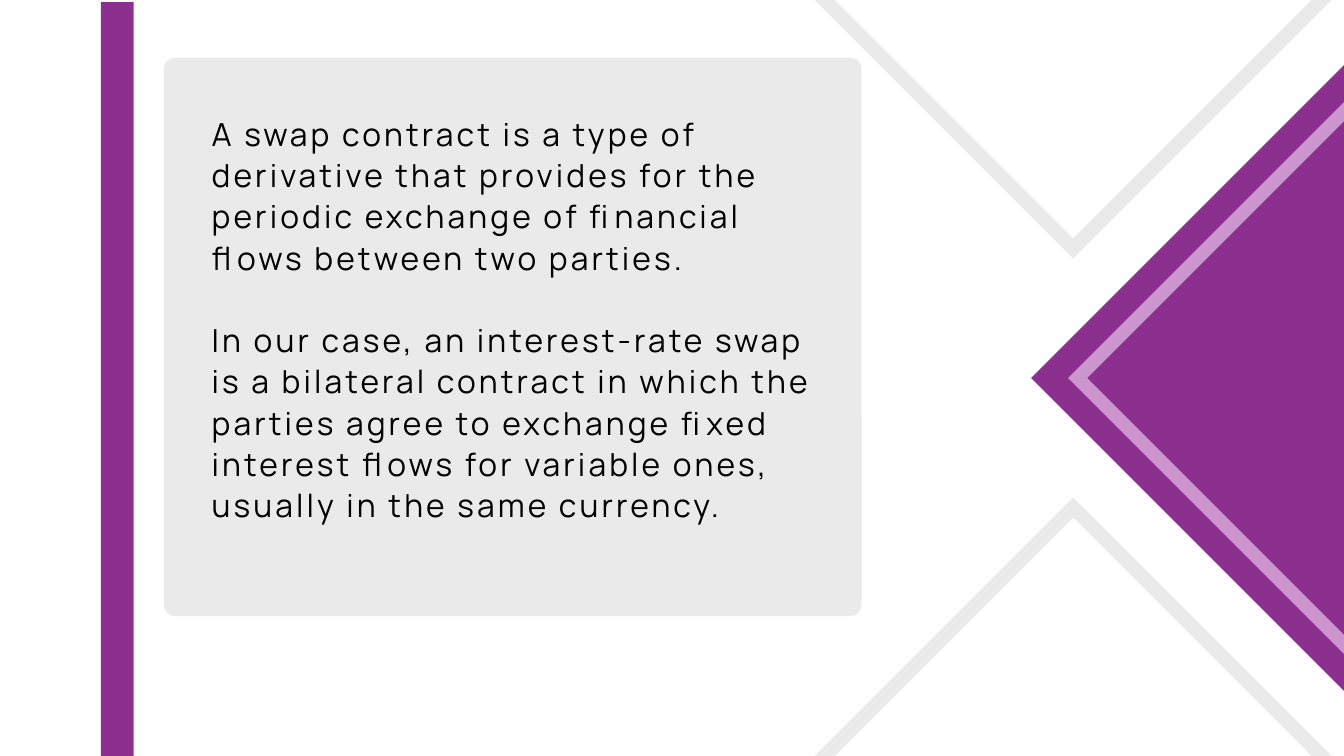
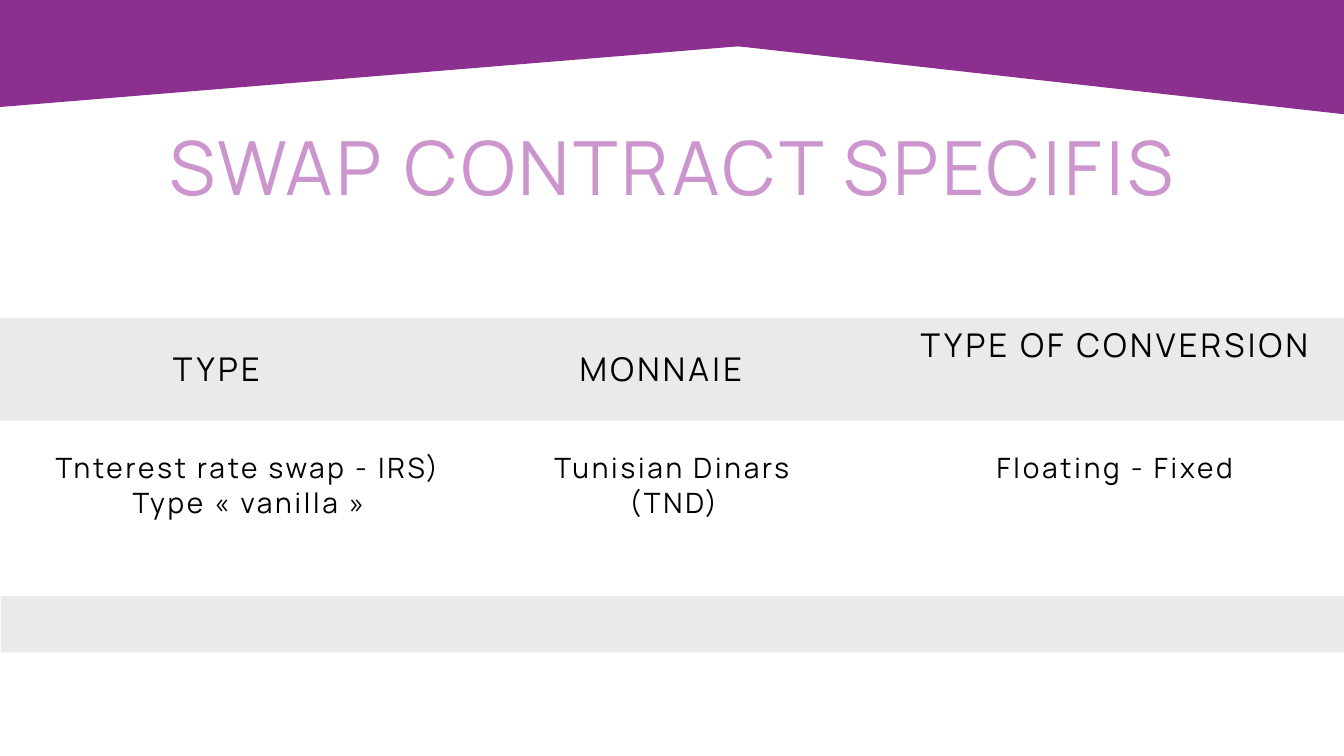
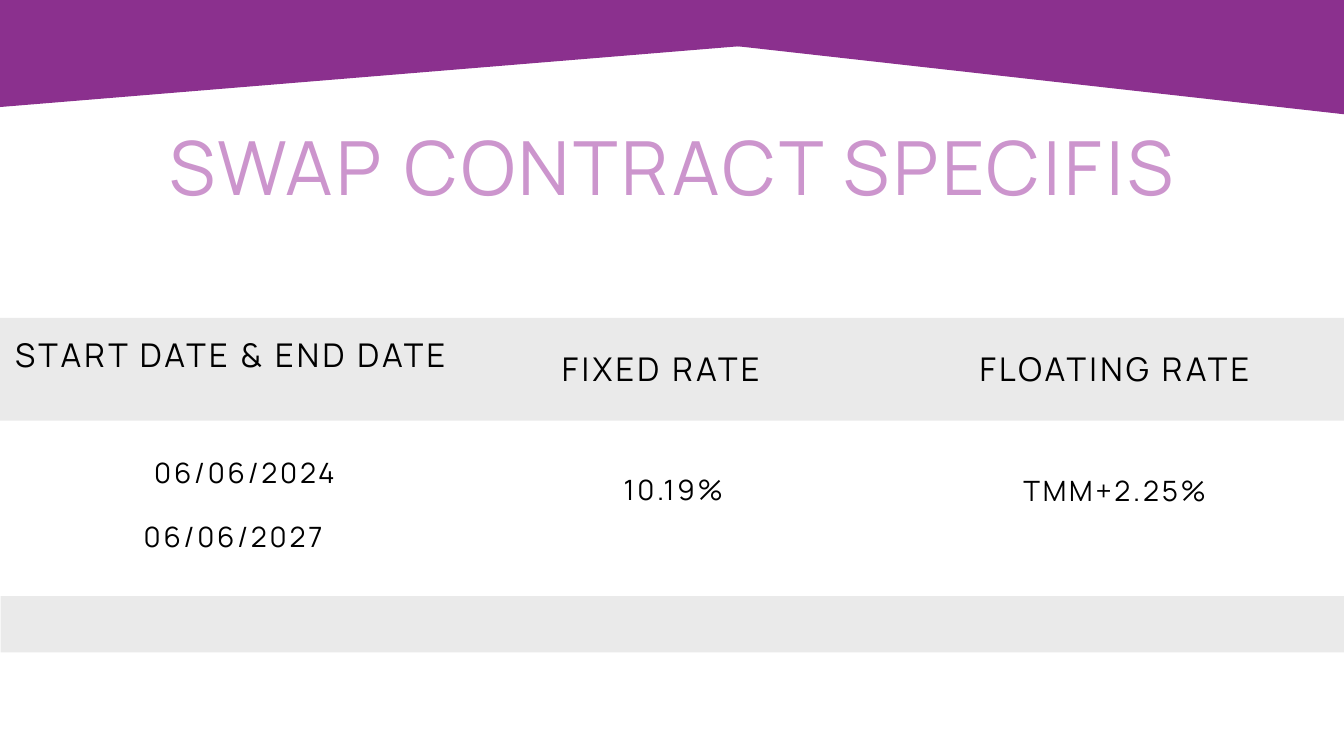
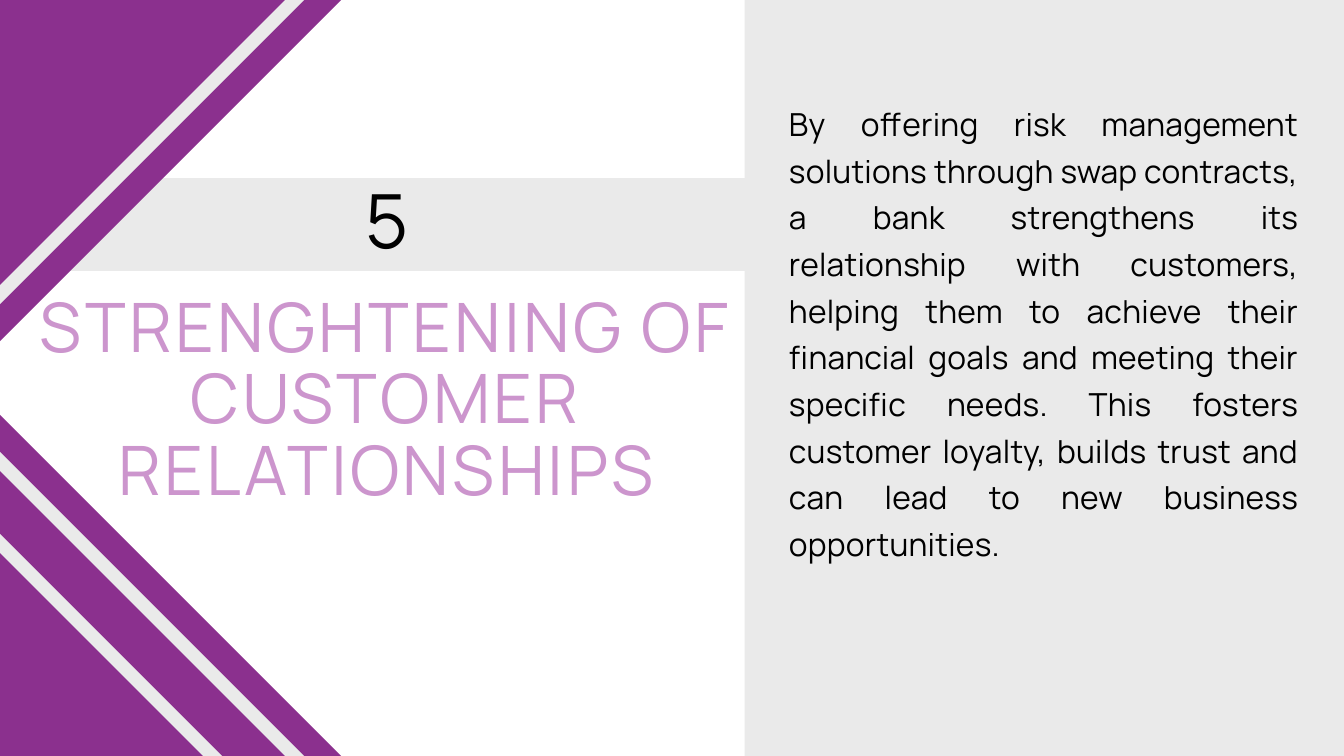
from pptx import Presentation
from pptx.dml.color import RGBColor
from pptx.enum.shapes import MSO_SHAPE
from pptx.enum.text import MSO_ANCHOR, MSO_AUTO_SIZE, PP_ALIGN
from pptx.oxml.ns import qn
from pptx.util import Inches, Pt
from lxml.etree import SubElement

COLORS = {"purple": "8B308E", "lilac": "CC95CD", "gray": "EAEAEA", "black": "000000"}
FONT = "Manrope"
WIDTH, HEIGHT = 20, 11.25

STYLES = {
    "title": dict(size=80, line=84, tracking=4, color="lilac", align=PP_ALIGN.CENTER),
    "long title": dict(size=73, line=76.7, tracking=3.6, color="lilac", align=PP_ALIGN.CENTER),
    "number": dict(size=80, line=84, tracking=4, color="black", align=PP_ALIGN.CENTER),
    "heading": dict(size=35, line=49, tracking=3.5, color="black", align=PP_ALIGN.CENTER),
    "value": dict(size=30, line=37.5, tracking=3, color="black", align=PP_ALIGN.CENTER),
    "definition": dict(size=34, line=44.2, tracking=3.4, color="black", align=PP_ALIGN.LEFT),
    "argument": dict(size=34, line=50, tracking=0.3, color="black", align=PP_ALIGN.JUSTIFY),
}

DEFINITION = [
    "A swap contract is a type of derivative that provides for the periodic exchange "
    "of financial flows between two parties.",
    "In our case, an interest-rate swap is a bilateral contract in which the parties agree "
    "to exchange fixed interest flows for variable ones, usually in the same currency.",
]

SPECIFICATION_TITLE = "SWAP CONTRACT SPECIFIS"
SPECIFICATIONS = [
    [
        ("heading", "TYPE", (0, 5.09, 6.44, 0.69)),
        ("heading", "MONNAIE", (6.91, 5.1, 5.85, 0.69)),
        ("heading", "TYPE OF CONVERSION", (13.66, 4.74, 5.85, 1.37)),
        ("value", "Tnterest rate swap - IRS) Type « vanilla »", (0.48, 6.68, 6.44, 1.06)),
        ("value", "Tunisian Dinars (TND)", (7.73, 6.68, 4.58, 1.58)),
        ("value", "Floating - Fixed", (14.3, 6.68, 4.58, 0.54)),
    ],
    [
        ("heading", "START DATE & END DATE", (0.21, 4.88, 6.44, 1.37)),
        ("heading", "FIXED RATE", (6.91, 5.1, 5.85, 0.69)),
        ("heading", "FLOATING RATE", (13.66, 5.09, 5.85, 0.69)),
        ("value", "06/06/2024", (0.42, 6.76, 6.44, 0.54)),
        ("value", "06/06/2027", (0.25, 7.71, 6.44, 0.54)),
        ("value", "10.19%", (7.73, 7.01, 4.58, 1.06)),
        ("value", "TMM+2.25%", (14.3, 7.02, 4.58, 0.54)),
    ],
]

BENEFIT_NUMBER = "5"
BENEFIT_TITLE = "STRENGHTENING OF CUSTOMER RELATIONSHIPS"
BENEFIT_TEXT = (
    "By offering risk management solutions through swap contracts, a bank strengthens its "
    "relationship with customers, helping them to achieve their financial goals and meeting "
    "their specific needs. This fosters customer loyalty, builds trust and can lead to new "
    "business opportunities."
)


def add_block(slide, box, color, kind=MSO_SHAPE.RECTANGLE, rotation=0, adjustment=None):
    shape = slide.shapes.add_shape(kind, *map(Inches, box))
    shape.shadow.inherit = False
    shape.fill.solid()
    shape.fill.fore_color.rgb = RGBColor.from_string(COLORS[color])
    shape.line.fill.background()
    shape.rotation = rotation
    if adjustment is not None:
        shape.adjustments[0] = adjustment


def add_diamond(slide, center_x, center_y, side, color, border=None):
    box = (center_x - side / 2, center_y - side / 2, side, side)
    if border is None:
        add_block(slide, box, color, rotation=45)
    else:
        add_block(slide, box, color, MSO_SHAPE.FRAME, 45, border / side)


def add_framed_diamond(slide, center_x, center_y, frame_color):
    add_diamond(slide, center_x, center_y, 7.18, "purple")
    add_diamond(slide, center_x, center_y, 6.4, frame_color, border=0.2)


def write_text(shape, paragraphs, box, style_name):
    style = STYLES[style_name]
    shape.left, shape.top, shape.width, shape.height = map(Inches, box)
    text_frame = shape.text_frame
    text_frame.text = "\n".join(paragraphs)
    text_frame.word_wrap = True
    text_frame.auto_size = MSO_AUTO_SIZE.NONE
    text_frame.vertical_anchor = MSO_ANCHOR.TOP
    text_frame.margin_left = text_frame.margin_right = 0
    text_frame.margin_top = text_frame.margin_bottom = 0
    for index, paragraph in enumerate(text_frame.paragraphs):
        paragraph.alignment = style["align"]
        paragraph.line_spacing = Pt(style["line"])
        paragraph.space_before = Pt(style["line"] if index else 0)
        paragraph.space_after = Pt(0)
        properties = paragraph._p.get_or_add_pPr()
        properties.set("marL", "0")
        properties.set("indent", "0")
        SubElement(properties, qn("a:buNone"))
        for run in paragraph.runs:
            run.font.name = FONT
            run.font.size = Pt(style["size"])
            run.font.color.rgb = RGBColor.from_string(COLORS[style["color"]])
            run._r.get_or_add_rPr().set("spc", str(round(style["tracking"] * 100)))


def add_text(slide, text, box, style_name):
    write_text(slide.shapes.add_textbox(0, 0, 0, 0), [text], box, style_name)


def fill_placeholder(slide, index, paragraphs, box, style_name):
    shape = slide.placeholders[index]
    write_text(shape, paragraphs, box, style_name)
    slide.shapes._spTree.append(shape._element)


def add_definition_slide(presentation):
    slide = presentation.slides.add_slide(presentation.slide_layouts[1])
    title = slide.shapes.title._element
    title.getparent().remove(title)
    add_block(slide, (1.5, 0.03, 0.49, HEIGHT), "purple")
    add_framed_diamond(slide, 20.42, HEIGHT / 2, "lilac")
    for center_y in (12.17, -0.92):
        add_diamond(slide, 15.97, center_y, 6.74, "gray", border=0.21)
    add_block(slide, (2.44, 0.86, 10.38, 8.31), "gray", MSO_SHAPE.ROUNDED_RECTANGLE, adjustment=0.02)
    fill_placeholder(slide, 1, DEFINITION, (3.15, 1.66, 8.94, 6.66), "definition")


def add_specification_slide(presentation, entries):
    slide = presentation.slides.add_slide(presentation.slide_layouts[5])
    add_block(slide, (0, 4.73, WIDTH, 1.53), "gray")
    add_block(slide, (4.16, -0.77, WIDTH, 1.81), "purple", rotation=6.4)
    add_block(slide, (-4.16, -0.7, WIDTH, 1.81), "purple", rotation=355.3)
    add_block(slide, (0.01, 8.87, WIDTH, 0.84), "gray")
    fill_placeholder(slide, 0, [SPECIFICATION_TITLE], (1.62, 1.97, 16.76, 1.3), "title")
    for style_name, text, box in entries:
        add_text(slide, text, box, style_name)


def add_benefit_slide(presentation):
    slide = presentation.slides.add_slide(presentation.slide_layouts[1])
    add_block(slide, (0.3, 2.65, 10.9, 1.38), "gray")
    for center_y in (0, HEIGHT, 12.47):
        add_framed_diamond(slide, 0, center_y, "gray")
    add_block(slide, (11.08, 0, 8.92, HEIGHT), "gray")
    fill_placeholder(slide, 0, [BENEFIT_TITLE], (0.5, 4.38, 10.5, 3.3), "long title")
    add_text(slide, BENEFIT_NUMBER, (4.37, 2.76, 2.77, 1.3), "number")
    fill_placeholder(slide, 1, [BENEFIT_TEXT], (11.74, 1.43, 7.59, 6.88), "argument")


def main():
    presentation = Presentation()
    presentation.slide_width = Inches(WIDTH)
    presentation.slide_height = Inches(HEIGHT)
    add_definition_slide(presentation)
    for entries in SPECIFICATIONS:
        add_specification_slide(presentation, entries)
    add_benefit_slide(presentation)
    presentation.save("out.pptx")


if __name__ == "__main__":
    main()
